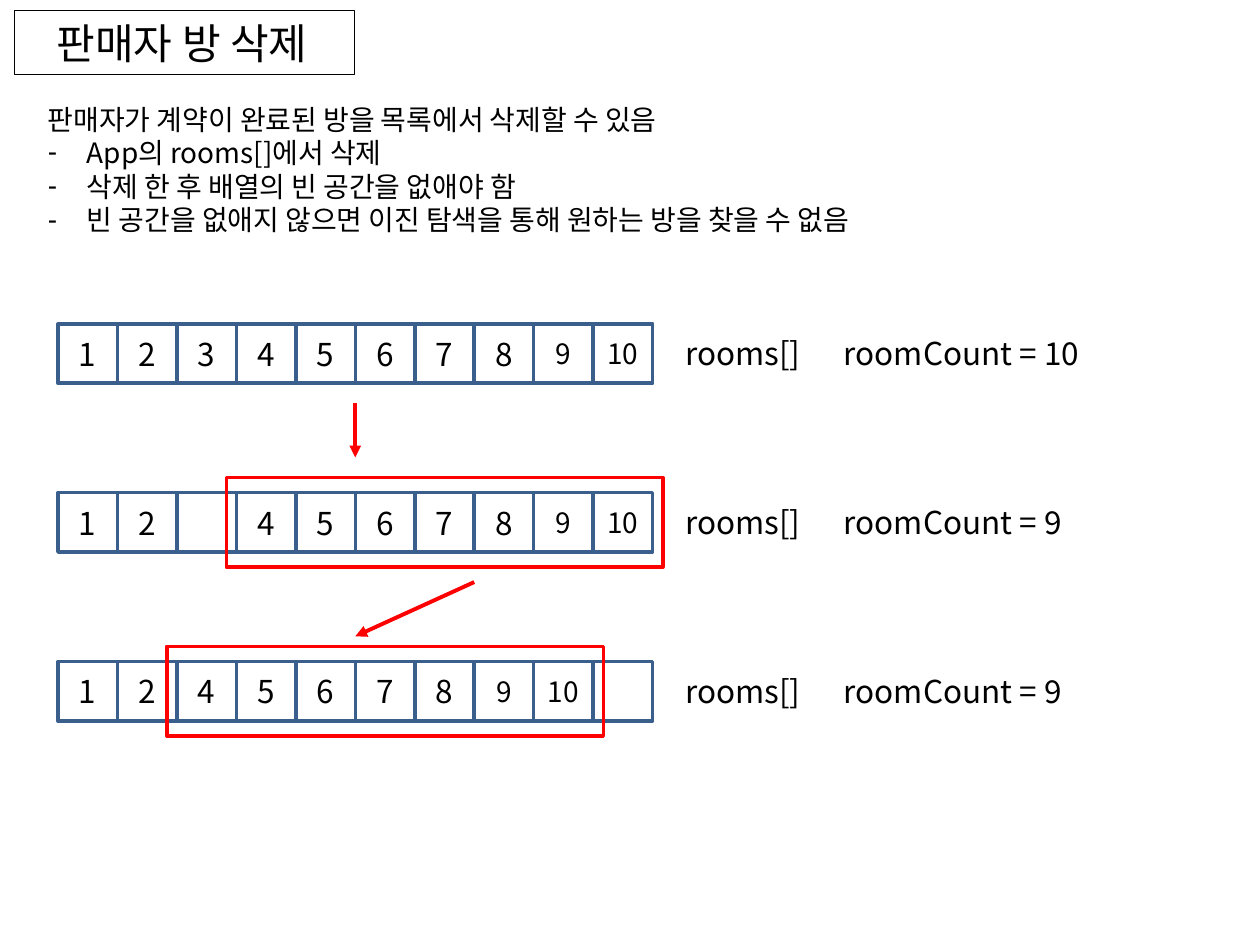
from dataclasses import dataclass

from lxml import etree
from pptx import Presentation
from pptx.dml.color import RGBColor
from pptx.enum.shapes import MSO_CONNECTOR, MSO_SHAPE
from pptx.enum.text import MSO_ANCHOR, MSO_AUTO_SIZE, PP_ALIGN
from pptx.oxml.ns import qn
from pptx.util import Inches, Pt

RECTANGLE = MSO_SHAPE.RECTANGLE
STRAIGHT = MSO_CONNECTOR.STRAIGHT
TOP, MIDDLE = MSO_ANCHOR.TOP, MSO_ANCHOR.MIDDLE
LEFT, CENTER = PP_ALIGN.LEFT, PP_ALIGN.CENTER
NO_AUTOFIT = MSO_AUTO_SIZE.NONE


@dataclass(frozen=True)
class Theme:
    """Font, colours and point sizes of the slide."""
    font: str = "Noto Sans CJK KR"
    text: RGBColor = RGBColor(0, 0, 0)
    cell: RGBColor = RGBColor(0x3A, 0x5F, 0x8C)
    accent: RGBColor = RGBColor(0xFF, 0, 0)
    title_size: int = 24
    body_size: int = 16
    label_size: int = 18
    small_size: int = 16
    line_height: float = 1.2
    outline: float = 2
    arrow: float = 2.25
    title_outline: float = 0.25


THEME = Theme()
ARRAY_LEFT, ARRAY_RIGHT = 0.46, 5.18
CELL = (ARRAY_RIGHT - ARRAY_LEFT) / 10
FIRST_ROW, ROW_PITCH = 2.57, 1.34
MARGIN_X, MARGIN_Y = 0.08, 0.12
ARROW_DROP = 0.43

TITLE = "판매자 방 삭제"
BODY = [
    "판매자가 계약이 완료된 방을 목록에서 삭제할 수 있음",
    "App의 rooms[]에서 삭제",
    "삭제 한 후 배열의 빈 공간을 없애야 함",
    "빈 공간을 없애지 않으면 이진 탐색을 통해 원하는 방을 찾을 수 없음",
]
ARRAYS = [
    list(range(1, 11)),
    [1, 2, None, *range(4, 11)],
    [1, 2, *range(4, 11), None],
]


def column_left(column):
    """Return the left edge of an array column in inches."""
    return ARRAY_LEFT + column * CELL


def row_top(row):
    """Return the top edge of an array row in inches."""
    return FIRST_ROW + row * ROW_PITCH


def place(shape, left, top, width, height):
    """Move and size a shape, in inches."""
    shape.left, shape.top = Inches(left), Inches(top)
    shape.width, shape.height = Inches(width), Inches(height)


def style_text(text_frame, size, alignment=LEFT, anchor=MIDDLE, wrap=True):
    """Format every paragraph and run of a text frame."""
    text_frame.auto_size = NO_AUTOFIT
    text_frame.word_wrap = wrap
    text_frame.vertical_anchor = anchor
    for paragraph in text_frame.paragraphs:
        paragraph.alignment = alignment
        paragraph.line_spacing = Pt(size * THEME.line_height)
        paragraph.space_before = Pt(0)
        for run in paragraph.runs:
            run.font.size = Pt(size)
            run.font.name = THEME.font
            run.font.color.rgb = THEME.text
            east_asian = etree.SubElement(run.font._element, qn("a:ea"))
            east_asian.set("typeface", THEME.font)


def set_bullet(paragraph, character=None):
    """Give a paragraph a hanging bullet, or remove its bullet."""
    properties = paragraph._p.get_or_add_pPr()
    indent = Inches(0.31) if character else 0
    properties.set("marL", str(indent))
    properties.set("indent", str(-indent))
    if character:
        etree.SubElement(properties, qn("a:buChar")).set("char", character)
    else:
        etree.SubElement(properties, qn("a:buNone"))


def set_tab(paragraph, position):
    """Add a left tab stop at a position in inches."""
    properties = paragraph._p.get_or_add_pPr()
    tabs = etree.SubElement(properties, qn("a:tabLst"))
    tab = etree.SubElement(tabs, qn("a:tab"))
    tab.set("pos", str(Inches(position)))
    tab.set("algn", "l")


def add_title(slide):
    """Fill the title placeholder."""
    title = slide.shapes.title
    place(title, 0.35, 0.09, 2.46, 0.5)
    title.text_frame.text = TITLE
    style_text(title.text_frame, THEME.title_size, wrap=False)


def add_body(slide):
    """Fill the body placeholder with a lead line and a dashed list."""
    body = slide.placeholders[1]
    place(body, 0.28, 0.76, 8.43, 1.18)
    body.text_frame.text = "\n".join(BODY)
    style_text(body.text_frame, THEME.body_size, anchor=TOP)
    for index, paragraph in enumerate(body.text_frame.paragraphs):
        set_bullet(paragraph, "-" if index else None)


def add_box(slide, left, top, width, height, color, weight):
    """Add an unfilled outlined rectangle."""
    box = slide.shapes.add_shape(RECTANGLE, Inches(left), Inches(top),
                                 Inches(width), Inches(height))
    box.shadow.inherit = False
    box.fill.background()
    box.line.color.rgb = color
    box.line.width = Pt(weight)
    return box


def add_array(slide, row, values):
    """Add one row of cells and the label to its right."""
    top = row_top(row)
    for column, value in enumerate(values):
        cell = add_box(slide, column_left(column), top, CELL, CELL,
                       THEME.cell, THEME.outline)
        if value is not None:
            cell.text_frame.text = str(value)
            size = THEME.label_size if value < 9 else THEME.small_size
            style_text(cell.text_frame, size, CENTER)

    count = len(values) - values.count(None)
    label = slide.shapes.add_textbox(Inches(5.34), Inches(top + 0.03),
                                     Inches(3.5), Inches(0.4))
    label.text_frame.text = f"rooms[]\troomCount = {count}"
    style_text(label.text_frame, THEME.label_size, wrap=False)
    set_tab(label.text_frame.paragraphs[0], 1.26)


def add_highlight(slide, row, first, last):
    """Frame the cells from the first to the last column of a row."""
    add_box(slide, column_left(first) - MARGIN_X, row_top(row) - MARGIN_Y,
            (last - first + 1) * CELL + 2 * MARGIN_X, CELL + 2 * MARGIN_Y,
            THEME.accent, THEME.outline)


def add_arrow(slide, start_column, end_column, top):
    """Add a downward arrow between two column edges."""
    arrow = slide.shapes.add_connector(
        STRAIGHT, Inches(column_left(start_column)), Inches(top),
        Inches(column_left(end_column)), Inches(top + ARROW_DROP))
    arrow.line.color.rgb = THEME.accent
    arrow.line.width = Pt(THEME.arrow)
    line = arrow.line._get_or_add_ln()
    etree.SubElement(line, qn("a:tailEnd")).set("type", "triangle")
    etree.SubElement(arrow._element.spPr, qn("a:effectLst"))


def main():
    """Build and save the slide."""
    presentation = Presentation()
    presentation.slide_width = Inches(10)
    presentation.slide_height = Inches(7.5)
    slide = presentation.slides.add_slide(presentation.slide_layouts[1])

    add_title(slide)
    add_body(slide)
    for row, values in enumerate(ARRAYS):
        add_array(slide, row, values)
    add_arrow(slide, 5, 5, 3.2)
    add_arrow(slide, 7, 5, 4.62)
    add_highlight(slide, 1, 3, 9)
    add_highlight(slide, 2, 2, 8)
    add_box(slide, 0.11, 0.08, 2.7, 0.51, THEME.text, THEME.title_outline)
    presentation.save("out.pptx")


main()
